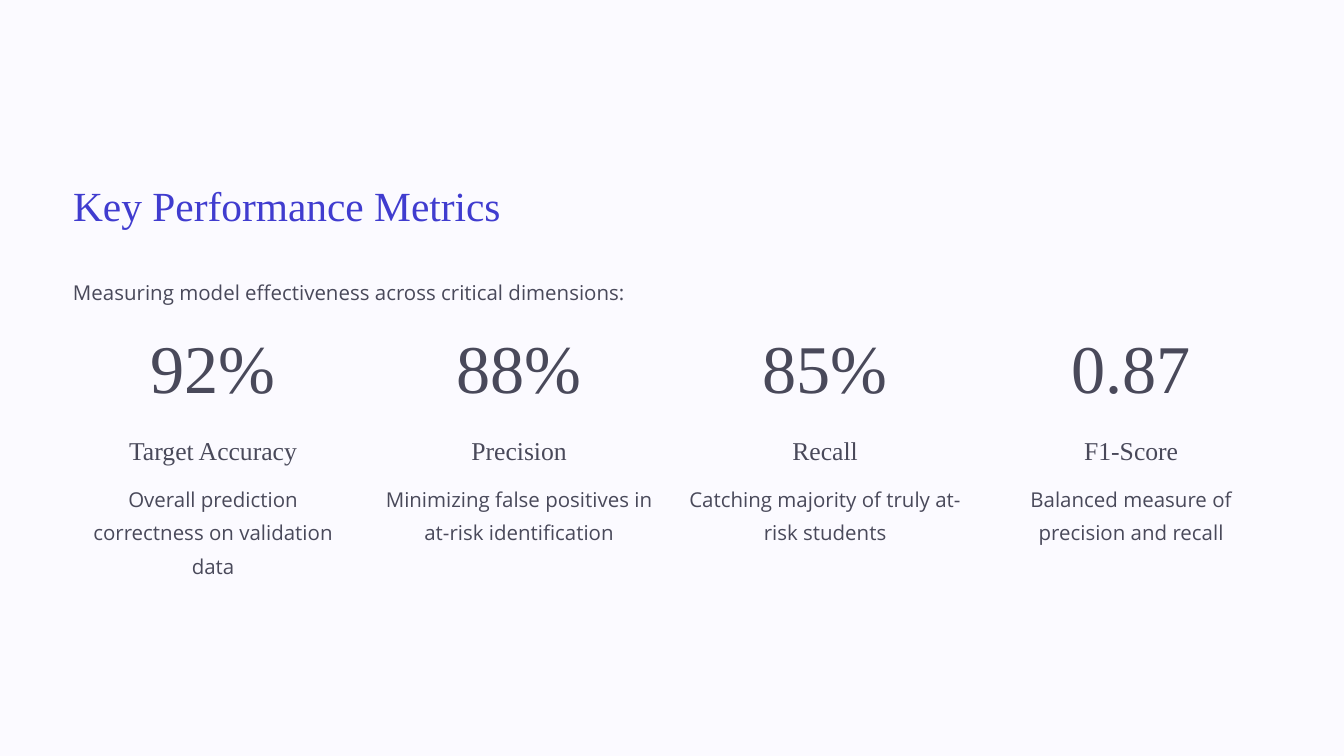
from dataclasses import dataclass

from pptx import Presentation
from pptx.dml.color import RGBColor
from pptx.enum.shapes import MSO_SHAPE
from pptx.enum.text import MSO_ANCHOR, MSO_AUTO_SIZE, PP_ALIGN
from pptx.util import Cm, Pt


@dataclass(frozen=True)
class TextStyle:
    font: str
    size: float
    line: float
    color: str


class Theme:
    background = "000000"
    backdrops = ("F4F0FF", "FBFAFF")
    title = TextStyle("Times New Roman", 44.4, 55.6, "403CCF")
    value = TextStyle("Times New Roman", 73.1, 73.1, "49495A")
    label = TextStyle("Times New Roman", 27.5, 34.4, "49495A")
    body = TextStyle("Open Sans", 21.9, 35.6, "49495A")


def write(box, text, style, align=PP_ALIGN.LEFT):
    frame = box.text_frame
    frame.text = text
    frame.word_wrap = True
    frame.auto_size = MSO_AUTO_SIZE.NONE
    frame.vertical_anchor = MSO_ANCHOR.TOP
    frame.margin_left = frame.margin_right = 0
    frame.margin_top = frame.margin_bottom = 0
    paragraph = frame.paragraphs[0]
    paragraph.alignment = align
    paragraph.line_spacing = Pt(style.line)
    font = paragraph.runs[0].font
    font.name = style.font
    font.size = Pt(style.size)
    font.color.rgb = RGBColor.from_string(style.color)


# Slide and background
prs = Presentation()
prs.slide_width, prs.slide_height = Cm(50.8), Cm(28.58)
slide = prs.slides.add_slide(prs.slide_layouts[5])
slide.background.fill.solid()
slide.background.fill.fore_color.rgb = RGBColor.from_string(Theme.background)

# Full-slide backdrops, kept behind the title
title = slide.shapes.title
for color in Theme.backdrops:
    backdrop = slide.shapes.add_shape(
        MSO_SHAPE.RECTANGLE, 0, 0, prs.slide_width, prs.slide_height
    )
    backdrop.shadow.inherit = False
    backdrop.fill.solid()
    backdrop.fill.fore_color.rgb = RGBColor.from_string(color)
    backdrop.line.fill.background()
    title.element.addprevious(backdrop.element)

margin, content_width = 2.76, 45.29

# Title
title.left, title.top = Cm(margin), Cm(6.72)
title.width, title.height = Cm(20.45), Cm(1.98)
write(title, "Key Performance Metrics", Theme.title)

# Introduction
intro = slide.shapes.add_textbox(Cm(margin), Cm(10.26), Cm(content_width), Cm(1.27))
write(intro, "Measuring model effectiveness across critical dimensions:", Theme.body)

# Metric columns: value, label and description
metrics = [
    ("92%", "Target Accuracy", "Overall prediction correctness on validation data"),
    ("88%", "Precision", "Minimizing false positives in at-risk identification"),
    ("85%", "Recall", "Catching majority of truly at-risk students"),
    ("0.87", "F1-Score", "Balanced measure of precision and recall"),
]
column_width, label_width = 10.59, 9.86
rows = [  # top, width, height, style
    (12.8, column_width, 2.59, Theme.value),
    (16.38, label_width, 1.22, Theme.label),
    (18.09, column_width, 3.78, Theme.body),
]
pitch = (content_width - column_width) / (len(metrics) - 1)

for column, metric in enumerate(metrics):
    center = margin + column * pitch + column_width / 2
    for text, (top, width, height, style) in zip(metric, rows):
        cell = slide.shapes.add_textbox(
            Cm(center - width / 2), Cm(top), Cm(width), Cm(height)
        )
        write(cell, text, style, PP_ALIGN.CENTER)

prs.save("out.pptx")
